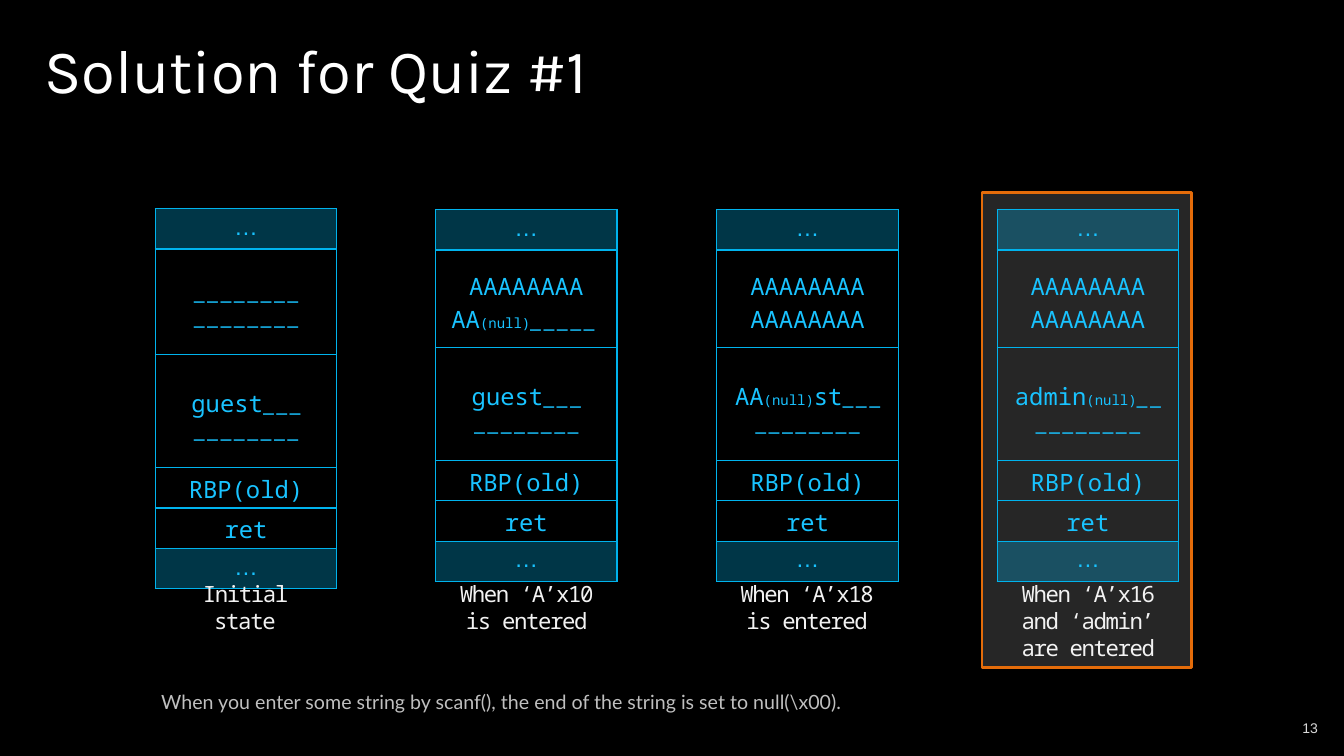
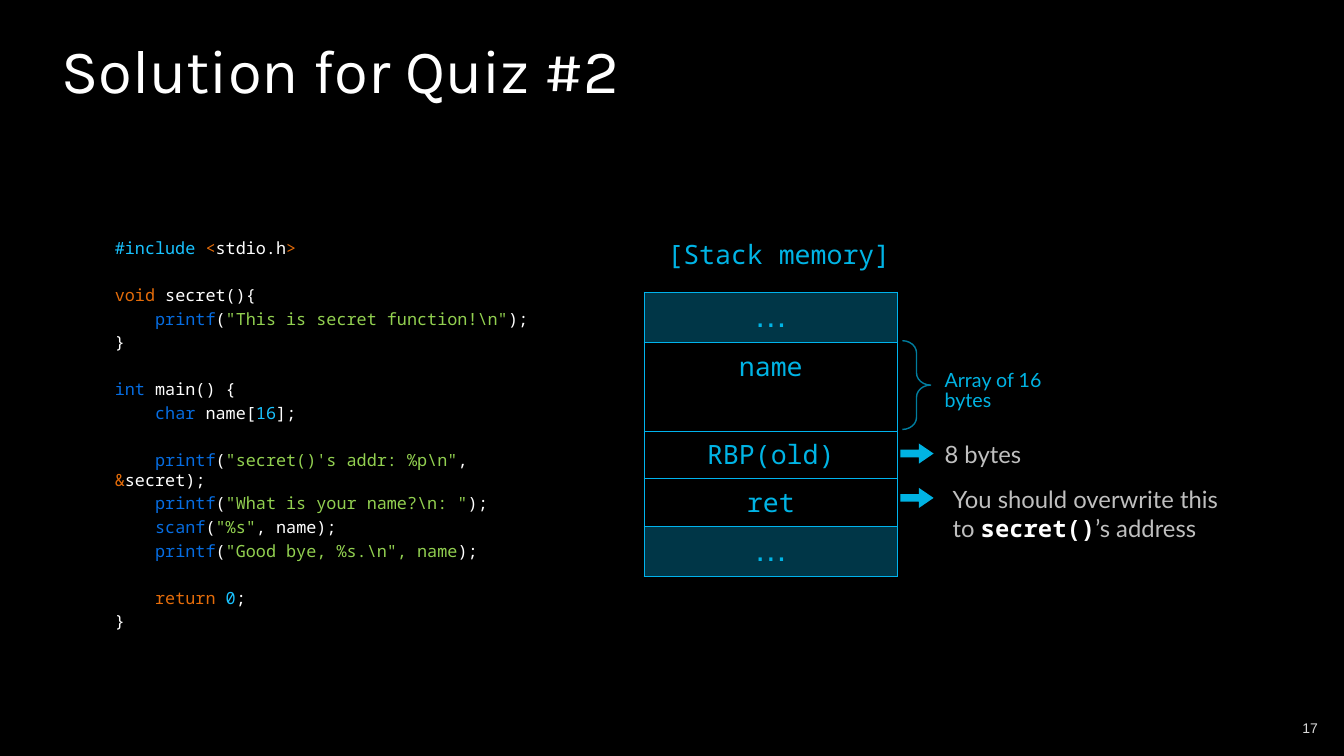
import pptx
import pptx.util
import pptx.dml.color
import pptx.enum.shapes
import pptx.enum.text
import pptx.oxml
import pptx.oxml.ns
from lxml import etree

Inches = pptx.util.Inches
Pt = pptx.util.Pt
RGB = pptx.dml.color.RGBColor.from_string
qn = pptx.oxml.ns.qn
ALIGN = pptx.enum.text.PP_ALIGN
ANCHOR = pptx.enum.text.MSO_ANCHOR
SHAPE = pptx.enum.shapes.MSO_SHAPE

COLORS = {
    "black": "000000", "white": "FFFFFF", "panel": "262626", "orange": "E46C0A",
    "border": "00B3ED", "sky": "19C3FF", "cyan": "00B4E5", "marker": "00B3E3",
    "caption": "F2F2F2", "note": "BFBFBF", "number": "D9D9D9",
    "blue": "066DE2", "green": "92D050",
}
MONO = "Noto Sans Mono"
TITLE = {"name": "Karla", "size": Pt(44), "color": "white"}
NUMBER = {"name": "Arial", "size": Pt(10), "color": "number"}
CAPTION = {"name": MONO, "size": Pt(16), "color": "caption", "spacing": -100}
NOTE = {"name": "Lato", "size": Pt(14), "color": "note"}
REMARK = {"name": "Lato", "size": Pt(17), "color": "note"}
LABEL = {"name": "Lato", "size": Pt(14), "color": "marker"}
CODE = {"name": MONO, "size": Pt(12), "color": "white"}
CELL = {"name": MONO, "size": Pt(17), "color": "sky"}
CELL_DOTS = {**CELL, "name": "Arial"}
MEMORY = {"name": MONO, "size": Pt(19), "color": "cyan"}
MEMORY_DOTS = {"name": "Arial", "size": Pt(24), "color": "cyan"}
CENTER = {"alignment": ALIGN.CENTER}
SLOT = {"size": Pt(13), "spacing": -300}
SMALL = {"size": Pt(10)}


def write_text(frame, paragraphs, style, layout):
    for index, runs in enumerate(paragraphs):
        paragraph = frame.add_paragraph() if index else frame.paragraphs[0]
        for key, value in layout.items():
            setattr(paragraph, key, value)
        for text, changes in runs:
            run = paragraph.add_run()
            run.text = text
            for key, value in {**style, **changes}.items():
                if key == "color":
                    run.font.color.rgb = RGB(COLORS[value])
                elif key == "spacing":
                    run.font._element.set("spc", str(value))
                else:
                    setattr(run.font, key, value)


def add_stack(slide, left, top, width, rows):
    frame = slide.shapes.add_table(
        len(rows), 1, Inches(left), Inches(top), Inches(width),
        Inches(sum(row[0] for row in rows)))
    table = frame.table
    table.first_row = table.horz_banding = False
    for index, (height, margin, paragraphs, style) in enumerate(rows):
        table.rows[index].height = Inches(height)
        cell = table.cell(index, 0)
        cell.margin_top, cell.margin_bottom = Inches(margin), 0
        properties = cell._tc.get_or_add_tcPr()
        for side in ("a:lnL", "a:lnR", "a:lnT", "a:lnB"):
            border = etree.SubElement(properties, qn(side), w=str(int(Pt(0.96))))
            solid = etree.SubElement(border, qn("a:solidFill"))
            etree.SubElement(solid, qn("a:srgbClr"), val=COLORS["border"])
        if index in (0, len(rows) - 1):
            cell.fill.solid()
            cell.fill.fore_color.rgb = RGB(COLORS["border"])
            tint = properties.find(qn("a:solidFill")).find(qn("a:srgbClr"))
            etree.SubElement(tint, qn("a:alpha"), val="30000")
        else:
            cell.fill.background()
        write_text(cell.text_frame, paragraphs, style, CENTER)


presentation = pptx.Presentation()
presentation.slide_width = Inches(13.33)
presentation.slide_height = Inches(7.5)

slides = []
for title, title_left, number in (("Solution for Quiz #1", 0.34, "13"),
                                  ("Solution for Quiz #2", 0.51, "17")):
    slide = presentation.slides.add_slide(presentation.slide_layouts[6])
    slide.background.fill.solid()
    slide.background.fill.fore_color.rgb = RGB(COLORS["black"])
    box = slide.shapes.add_textbox(Inches(title_left), Inches(0.27), Inches(6.38), Inches(0.83))
    box.text_frame.word_wrap = True
    write_text(box.text_frame, [[(title, {})]], TITLE, {})
    box = slide.shapes.add_textbox(Inches(10.17), Inches(7.02), Inches(3), Inches(0.4))
    box.text_frame.word_wrap = True
    box.text_frame.vertical_anchor = ANCHOR.MIDDLE
    write_text(box.text_frame, [[(number, {})]], NUMBER, {"alignment": ALIGN.RIGHT})
    slides.append(slide)
states_slide, overflow_slide = slides

highlight = states_slide.shapes.add_shape(
    SHAPE.RECTANGLE, Inches(9.74), Inches(1.91), Inches(2.08), Inches(4.71))
highlight.shadow.inherit = False
highlight.fill.solid()
highlight.fill.fore_color.rgb = RGB(COLORS["panel"])
highlight.line.color.rgb = RGB(COLORS["orange"])
highlight.line.width = Pt(2)

empty_line = [("_ _ _ _ _ _ _ _", SLOT)]
full_line = [("AAAAAAAA", {})]
null = ("(null)", SMALL)
guest = [("guest", {}), ("_ _ _", SLOT)]
states = [
    (1.54, 2.07, 1.05, 0.32, [empty_line, empty_line], guest,
     1.55, 1.76, ["Initial state"]),
    (4.32, 2.08, 0.97, 0.2, [full_line, [("AA", {}), null, ("_ _ _ _ _ ", SLOT)]], guest,
     4.46, 1.53, ["When ‘A’x10", "is entered"]),
    (7.11, 2.08, 0.97, 0.2, [full_line, full_line],
     [("AA", {}), null, ("st", {}), ("_ _ _", SLOT)],
     7.24, 1.53, ["When ‘A’x18", "is entered"]),
    (9.89, 2.08, 0.97, 0.2, [full_line, full_line],
     [("admin", {}), null, ("_ _", SLOT)],
     10.03, 1.53, ["When ‘A’x16", "and ‘admin’", "are entered"]),
]
for left, top, height, margin, buffer, user, caption_left, caption_width, caption in states:
    add_stack(states_slide, left, top, 1.8, [
        (0.4, 0.05, [[("…", {})]], CELL_DOTS),
        (height, margin, buffer, CELL),
        (1.12, 0.32, [user, empty_line], CELL),
        (0.4, 0.05, [[("RBP(old)", {})]], CELL),
        (0.4, 0.05, [[("ret", {})]], CELL),
        (0.4, 0.05, [[("…", {})]], CELL_DOTS),
    ])
    box = states_slide.shapes.add_textbox(
        Inches(caption_left), Inches(5.71), Inches(caption_width),
        Inches(0.09 + 0.27 * len(caption)))
    box.text_frame.word_wrap = False
    write_text(box.text_frame, [[(line, {})] for line in caption], CAPTION, CENTER)

add_stack(overflow_slide, 6.39, 2.9, 2.51, [
    (0.5, 0.05, [[("…", {})]], MEMORY_DOTS),
    (0.88, 0.05, [[("name", {})]], MEMORY),
    (0.47, 0.05, [[("RBP(old)", {})]], MEMORY),
    (0.47, 0.05, [[("ret", {})]], MEMORY),
    (0.5, 0.05, [[("…", {})]], MEMORY_DOTS),
])

brace = overflow_slide.shapes.add_shape(
    SHAPE.LEFT_BRACE, Inches(8.95), Inches(3.38), Inches(0.28), Inches(0.88))
brace.shadow.inherit = False
brace.rotation = 180
brace.adjustments[0] = 0.43
brace.fill.background()
brace.line.color.rgb = RGB(COLORS["marker"])
brace.line.width = Pt(1)
stroke = brace.line._get_or_add_ln().find(qn("a:solidFill")).find(qn("a:srgbClr"))
etree.SubElement(stroke, qn("a:alpha"), val="70000")

for top in (4.4, 4.84):
    arrow = overflow_slide.shapes.add_shape(
        SHAPE.RIGHT_ARROW, Inches(8.93), Inches(top), Inches(0.33), Inches(0.2))
    arrow.shadow.inherit = False
    arrow.adjustments[0] = 0.38
    arrow.adjustments[1] = 0.73
    arrow.fill.solid()
    arrow.fill.fore_color.rgb = RGB(COLORS["marker"])
    arrow.line.fill.background()

secret = {"name": MONO, "color": "white", "bold": True}
texts = [
    (states_slide, 1.5, 6.75, 8.03, 0.38, NOTE, {"line_spacing": Pt(20)},
     [[("When you enter some string by scanf(), "
        "the end of the string is set to null(\\x00).", {})]]),
    (overflow_slide, 9.27, 3.64, 1.55, 0.49, LABEL, {"line_spacing": Pt(14)},
     [[("Array of 16 bytes", {})]]),
    (overflow_slide, 9.27, 4.31, 1.07, 0.38, REMARK, {}, [[("8 bytes", {})]]),
    (overflow_slide, 9.35, 4.76, 3.16, 0.67, REMARK, {"space_before": Pt(0.5)},
     [[("You should overwrite this", {})],
      [("to ", {}), ("secret()", secret), ("’s address", {})]]),
    (overflow_slide, 6.27, 2.31, 2.91, 0.42, MEMORY, CENTER, [[("[Stack memory]", {})]]),
]
for slide, left, top, width, height, style, layout, paragraphs in texts:
    box = slide.shapes.add_textbox(Inches(left), Inches(top), Inches(width), Inches(height))
    box.text_frame.word_wrap = True
    write_text(box.text_frame, paragraphs, style, layout)

white, orange, blue, green, sky = (
    {"color": name} for name in ("white", "orange", "blue", "green", "sky"))
printf = ("printf", blue)
opening, closing = ("(", white), (");", white)
code = [
    (0, 0, [("#include ", sky), ("<", orange), ("stdio.h", white), (">", orange)]),
    (1, 0, [("void ", orange), ("secret(){", white)]),
    (0, 1, [printf, opening, ('"This is secret function!\\n"', green), closing]),
    (0, 0, [("}", white)]),
    (1, 0, [("int ", blue), ("main() {", white)]),
    (0, 1, [("char ", blue), ("name[", white), ("16", sky), ("];", white)]),
    (1, 1, [printf, opening, ('"secret()\'s addr: %p\\n"', green), (", ", white),
            ("&", orange), ("secret);", white)]),
    (0, 1, [printf, opening, ('"What is your name?\\n: "', green), closing]),
    (0, 1, [("scanf", blue), opening, ('"%s"', green), (", name);", white)]),
    (0, 1, [printf, opening, ('"Good bye, %s.\\n", name', green), closing]),
    (1, 1, [("return ", orange), ("0", sky), (";", white)]),
    (0, 0, [("}", white)]),
]
box = overflow_slide.shapes.add_textbox(Inches(1.04), Inches(2.31), Inches(4.65), Inches(3.95))
box.text_frame.word_wrap = True
write_text(box.text_frame, [runs for gap, depth, runs in code], CODE, {"line_spacing": Pt(14.4)})
for paragraph, (gap, depth, runs) in zip(box.text_frame.paragraphs, code):
    paragraph.space_before = Pt(2.4 + 16.8 * gap)
    paragraph._p.get_or_add_pPr().set("indent", str(int(Inches(0.4 * depth))))

presentation.save("out.pptx")
